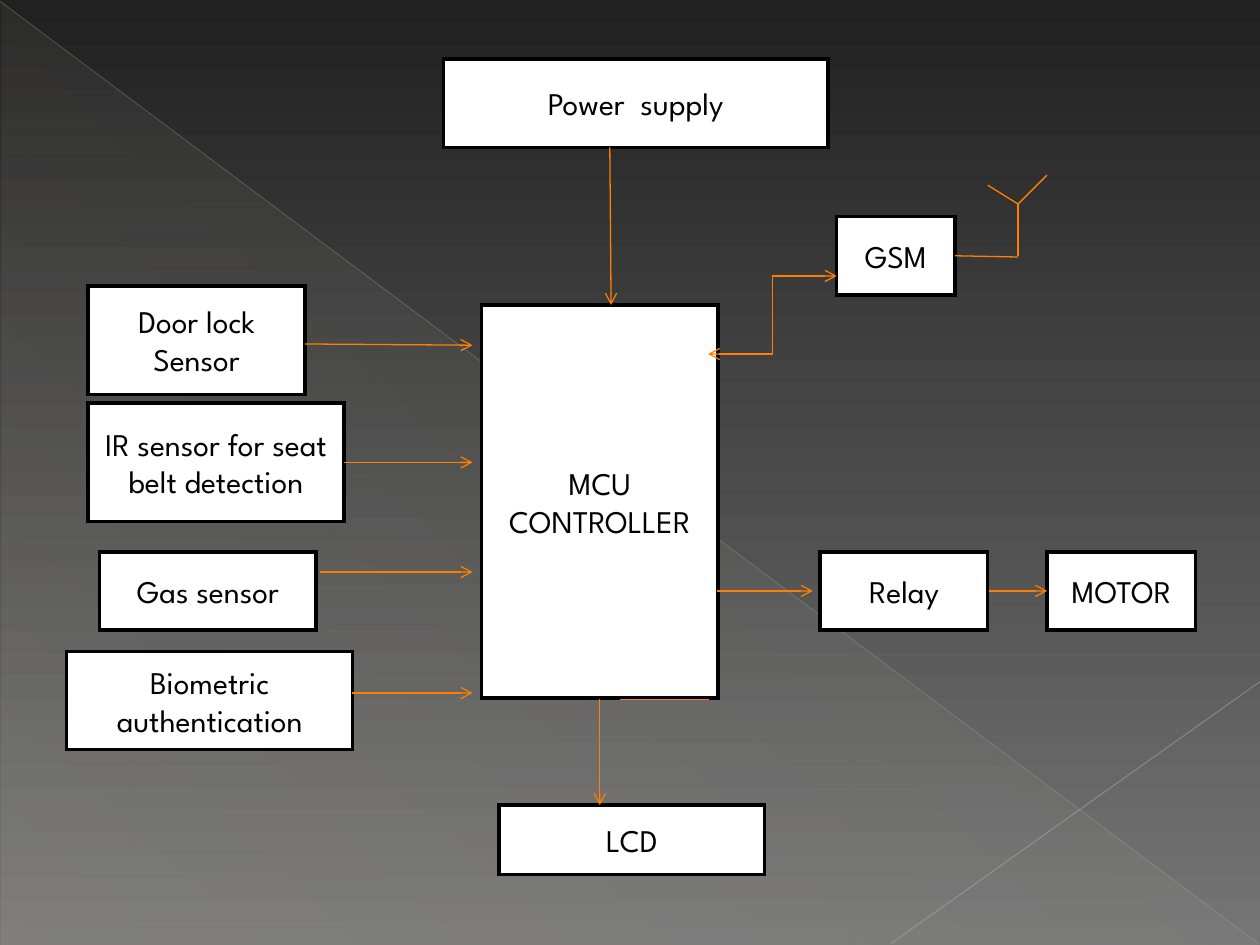
from pptx import Presentation
from pptx.dml.color import RGBColor
from pptx.enum.shapes import MSO_CONNECTOR as CONN, MSO_SHAPE as SHAPE
from pptx.enum.text import MSO_ANCHOR, PP_ALIGN
from pptx.oxml.ns import qn
from pptx.util import Inches, Pt
from lxml.etree import SubElement

FONT = "League Spartan"
ORANGE = "FF7F00"

BOXES = [
    ("MCU\nCONTROLLER", 3.82, 2.42, 1.88, 3.12),
    ("Power  supply", 3.52, 0.47, 3.05, 0.7),
    ("Door lock Sensor", 0.7, 2.27, 1.72, 0.86),
    ("Biometric authentication", 0.53, 5.17, 2.27, 0.78),
    ("IR sensor for seat belt detection", 0.7, 3.2, 2.03, 0.94),
    ("Gas sensor", 0.79, 4.38, 1.72, 0.62),
    ("LCD", 3.96, 6.39, 2.11, 0.55),
    ("Relay", 6.51, 4.38, 1.33, 0.62),
    ("GSM", 6.64, 1.72, 0.94, 0.62),
    ("MOTOR", 8.31, 4.38, 1.18, 0.62),
]

ARROWS = [
    (2.42, 2.73, 3.75, 2.74),
    (2.73, 3.67, 3.75, 3.67),
    (2.54, 4.54, 3.75, 4.54),
    (2.79, 5.5, 3.75, 5.5),
    (4.84, 1.17, 4.85, 2.42),
    (4.76, 5.55, 4.76, 6.39),
    (5.69, 4.69, 6.45, 4.69),
    (7.85, 4.69, 8.31, 4.69),
]
ANTENNA = [
    (7.58, 2.03, 8.08, 2.04),
    (8.08, 1.62, 8.08, 2.03),
    (7.84, 1.47, 8.08, 1.62),
    (8.31, 1.39, 8.08, 1.62),
]
CONTROLLER_MARKS = [(5.63, 5.55, 4.92, 5.55), (4.84, 4.77, 4.84, 4.77)]
GSM_LINK = (5.62, 2.81, 6.64, 2.19)
BACKDROP_LINES = [
    ((0, 0.01, 9.99, 7.49), "B6B6B6", 0.4, 35),
    ((10, 5.41, 7.07, 7.49), "BEBEBE", 0.48, 45),
]


def rgb(value):
    return RGBColor.from_string(value)


def set_alphas(element, *percents):
    for color, percent in zip(element.iter(qn("a:srgbClr")), percents):
        SubElement(color, qn("a:alpha"), val=str(percent * 1000))


def gradient(fill, colors, angle):
    fill.gradient()
    fill.gradient_angle = 360 - angle
    for stop, color in zip(fill.gradient_stops, colors):
        stop.color.rgb = rgb(color)


def add_line(s, points, kind=CONN.STRAIGHT, color=ORANGE, width=0.75, ends=(), alpha=None):
    cx = s.shapes.add_connector(kind, *map(Inches, points))
    cx.line.color.rgb = rgb(color)
    cx.line.width = Pt(width)
    ln = cx.line._get_or_add_ln()
    if alpha:
        set_alphas(ln, alpha)
    for end in ends:
        SubElement(ln, qn(f"a:{end}End"), type="arrow")
    SubElement(cx._element.spPr, qn("a:effectLst"))


def add_text(tf, text, size=18, color="000000"):
    tf.word_wrap = True
    tf.vertical_anchor = MSO_ANCHOR.MIDDLE
    for i, words in enumerate(text.split("\n")):
        p = tf.add_paragraph() if i else tf.paragraphs[0]
        p.alignment = PP_ALIGN.CENTER
        r = p.add_run()
        r.text = words
        r.font.name = FONT
        r.font.size = Pt(size)
        r.font.color.rgb = rgb(color)


def add_box(s, text, *place):
    sp = s.shapes.add_shape(SHAPE.RECTANGLE, *map(Inches, place))
    sp.shadow.inherit = False
    sp.fill.solid()
    sp.fill.fore_color.rgb = rgb("FFFFFF")
    sp.line.color.rgb = rgb("000000")
    sp.line.width = Pt(2)
    SubElement(sp.line._get_or_add_ln(), qn("a:miter"), lim="800000")
    add_text(sp.text_frame, text)


def add_backdrop(s):
    gradient(s.background.fill, ("212121", "757575"), 90)
    sp = s.shapes.add_shape(SHAPE.RIGHT_TRIANGLE, *map(Inches, (0.01, 0.02, 9.99, 7.48)))
    sp.shadow.inherit = False
    sp.line.fill.background()
    gradient(sp.fill, ("E3DED1", "E3DED1"), 133)
    set_alphas(sp._element.spPr, 1, 10)
    for points, color, width, alpha in BACKDROP_LINES:
        add_line(s, points, color=color, width=width, alpha=alpha)


def main():
    prs = Presentation()
    prs.slide_width, prs.slide_height = Inches(10), Inches(7.5)
    s = prs.slides.add_slide(prs.slide_layouts[6])
    add_backdrop(s)
    for box in BOXES:
        add_box(s, *box)
    for points in ARROWS:
        add_line(s, points, ends=("tail",))
    for points in ANTENNA + CONTROLLER_MARKS:
        add_line(s, points)
    add_line(s, GSM_LINK, kind=CONN.ELBOW, ends=("head", "tail"))
    prs.save("out.pptx")


if __name__ == "__main__":
    main()
